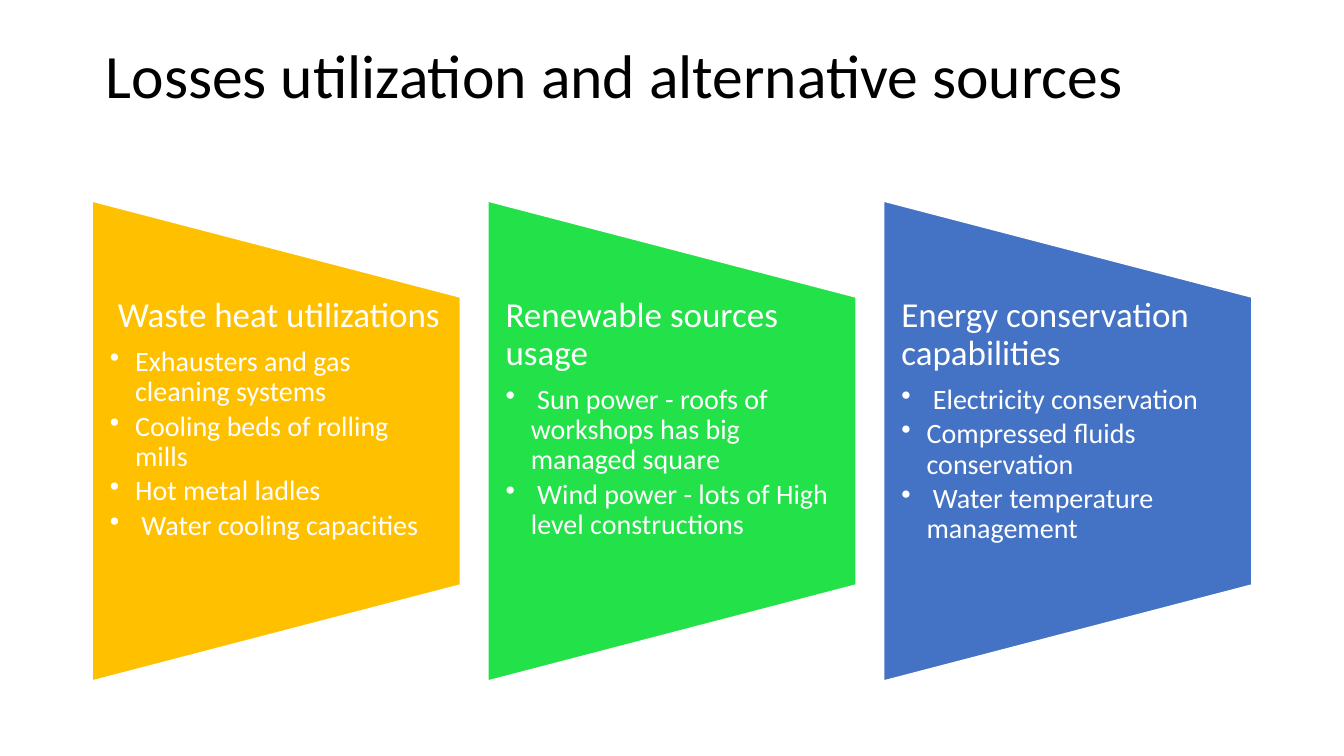
import pptx
import pptx.dml.color
import pptx.enum.shapes
import pptx.enum.text
import pptx.oxml.ns
import pptx.util
from lxml import etree
from pptx.util import Inches

COLORS = {
    "title": "000000",
    "white": "FFFFFF",
    "waste heat": "FFC000",
    "renewables": "23E148",
    "conservation": "4472C4",
}

PANELS = [
    ("waste heat", " Waste heat utilizations", [
        "Exhausters and gas cleaning systems",
        "Cooling beds of rolling mills",
        "Hot metal ladles",
        " Water cooling capacities",
    ]),
    ("renewables", "Renewable sources usage", [
        " Sun power - roofs of workshops has big managed square",
        " Wind power - lots of High level constructions",
    ]),
    ("conservation", "Energy conservation capabilities", [
        " Electricity conservation ",
        "Compressed fluids conservation",
        " Water temperature management",
    ]),
]


def color(name):
    return pptx.dml.color.RGBColor.from_string(COLORS[name])


def write(paragraph, text, size, color_name, space_after=0):
    paragraph.line_spacing = 0.9
    paragraph.space_after = pptx.util.Pt(space_after)
    run = paragraph.add_run()
    run.text = text
    run.font.name = "Calibri"
    run.font.size = pptx.util.Pt(size)
    run.font.color.rgb = color(color_name)


presentation = pptx.Presentation()
presentation.slide_width = Inches(13.33)
presentation.slide_height = Inches(7.5)
slide = presentation.slides.add_slide(presentation.slide_layouts[6])

title = slide.shapes.add_textbox(Inches(0.95), Inches(0.05), Inches(11.5), Inches(1.45))
title.text_frame.word_wrap = True
title.text_frame.vertical_anchor = pptx.enum.text.MSO_ANCHOR.MIDDLE
write(title.text_frame.paragraphs[0], "Losses utilization and alternative sources", 44, "title")

PANEL_PITCH = 3.925
for index, (fill_name, heading, bullets) in enumerate(PANELS):
    offset = index * PANEL_PITCH

    # The trapezoid is turned on its side, so its width runs down the slide
    panel = slide.shapes.add_shape(
        pptx.enum.shapes.MSO_SHAPE.FLOWCHART_MANUAL_OPERATION,
        Inches(0.36 + offset), Inches(2.55), Inches(4.76), Inches(3.65))
    panel.rotation = 270
    panel.shadow.inherit = False
    panel.fill.solid()
    panel.fill.fore_color.rgb = color(fill_name)
    panel.line.color.rgb = color("white")
    panel.line.width = pptx.util.Pt(1)

    box = slide.shapes.add_textbox(
        Inches(0.92 + offset), Inches(2.95), Inches(3.65), Inches(2.86))
    frame = box.text_frame
    frame.word_wrap = True
    frame.margin_left = frame.margin_right = Inches(0.17)
    frame.margin_top = frame.margin_bottom = 0
    write(frame.paragraphs[0], heading, 25, "white", space_after=8.75)

    for bullet in bullets:
        paragraph = frame.add_paragraph()
        paragraph.level = 1
        write(paragraph, bullet, 20, "white", space_after=3)
        properties = paragraph._p.get_or_add_pPr()
        properties.set("marL", str(Inches(0.25)))
        properties.set("indent", str(Inches(-0.25)))
        etree.SubElement(properties, pptx.oxml.ns.qn("a:buChar"), char="•")

presentation.save("out.pptx")
